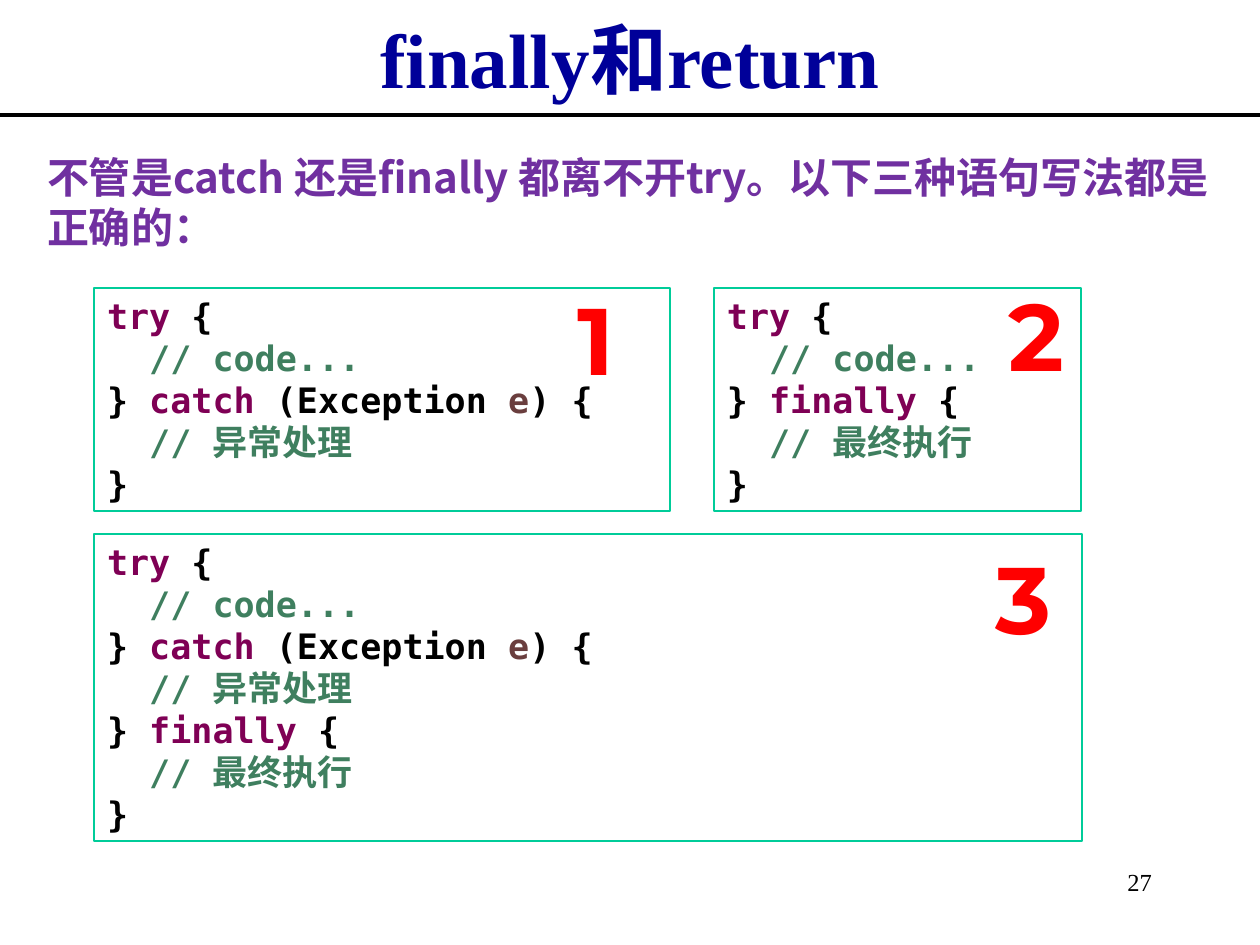
from dataclasses import dataclass

from lxml import etree
from pptx import Presentation
from pptx import util as u
from pptx.dml.color import RGBColor
from pptx.enum import shapes, text
from pptx.oxml.ns import qn

PX = u.Inches(1) / 126


@dataclass(frozen=True)
class Theme:
    plain: str = "000000"
    title: str = "000099"
    intro: str = "7030A0"
    keyword: str = "7F0055"
    comment: str = "3F7F5F"
    variable: str = "6A3E3E"
    badge: str = "FF0000"
    border: str = "00CC99"
    serif: str = "Times New Roman"
    sans: str = "Noto Sans CJK SC"
    mono: str = "DejaVu Sans Mono"
    display: str = "Montserrat"
    title_size: int = 44
    intro_size: int = 24
    code_size: int = 20
    badge_size: int = 54
    number_size: int = 14


THEME = Theme()
TRY = [
    [("try", THEME.keyword), (" {", THEME.plain)],
    [("  // code...", THEME.comment)],
]
CATCH = [
    [("} ", THEME.plain), ("catch", THEME.keyword), (" (Exception ", THEME.plain),
     ("e", THEME.variable), (") {", THEME.plain)],
    [("  // 异常处理", THEME.comment)],
]
FINALLY = [
    [("} ", THEME.plain), ("finally", THEME.keyword), (" {", THEME.plain)],
    [("  // 最终执行", THEME.comment)],
]
END = [[("}", THEME.plain)]]


def px(*lengths):
    return [u.Emu(round(length * PX)) for length in lengths]


def apply(target, formats):
    for name, value in formats.items():
        setattr(target, name, value)


def write(shape, lines, font, size, bold=True, align=text.PP_ALIGN.LEFT,
          margins=(13, 6), **frame_formats):
    frame = shape.text_frame
    side, top = px(*margins)
    apply(frame, {"margin_left": side, "margin_right": side,
                  "margin_top": top, "margin_bottom": top,
                  "word_wrap": True, "vertical_anchor": text.MSO_ANCHOR.TOP,
                  **frame_formats})
    for index, line in enumerate(lines):
        paragraph = frame.add_paragraph() if index else frame.paragraphs[0]
        paragraph.alignment = align
        for content, color in line:
            run = paragraph.add_run()
            run.text = content
            apply(run.font, {"name": font, "size": u.Pt(size), "bold": bold})
            run.font.color.rgb = RGBColor.from_string(color)
            east_asian = etree.SubElement(run.font._element, qn("a:ea"))
            east_asian.set("typeface", THEME.sans)


def add_header(slide, left, top, width, height):
    title = slide.shapes.add_textbox(*px(left + 94, top, width - 188, height))
    write(title, [[("finally和return", THEME.title)]], THEME.serif, THEME.title_size,
          align=text.PP_ALIGN.CENTER, vertical_anchor=text.MSO_ANCHOR.MIDDLE)
    rule = slide.shapes.add_connector(
        shapes.MSO_CONNECTOR.STRAIGHT,
        *px(left, top + height, left + width, top + height))
    rule.line.color.rgb = RGBColor.from_string(THEME.plain)
    rule.line.width = u.Pt(2.25)
    etree.SubElement(rule._element.spPr, qn("a:effectLst"))


def add_intro(slide, left, top, width, height):
    intro = slide.shapes.add_textbox(*px(left, top, width, height))
    sentence = "不管是catch 还是finally 都离不开try。以下三种语句写法都是正确的："
    write(intro, [[(sentence, THEME.intro)]], THEME.sans, THEME.intro_size,
          margins=(17, 9))


def add_code_panel(slide, left, top, width, height, lines, badge, badge_x, badge_y):
    panel = slide.shapes.add_shape(shapes.MSO_SHAPE.RECTANGLE,
                                   *px(left, top, width, height))
    panel.shadow.inherit = False
    panel.fill.background()
    panel.line.color.rgb = RGBColor.from_string(THEME.border)
    panel.line.width = u.Pt(1.5)
    grow = text.MSO_AUTO_SIZE.SHAPE_TO_FIT_TEXT
    write(panel, lines, THEME.mono, THEME.code_size, auto_size=grow)
    label = slide.shapes.add_textbox(*px(left + badge_x, top + badge_y, 79, 126))
    write(label, [[(badge, THEME.badge)]], THEME.display, THEME.badge_size,
          word_wrap=False, auto_size=grow)


def add_page_number(slide, left, top, width, height):
    number = slide.shapes.add_textbox(*px(left, top, width, height))
    write(number, [[("27", THEME.plain)]], THEME.serif, THEME.number_size,
          bold=False, align=text.PP_ALIGN.RIGHT)


def main():
    presentation = Presentation()
    apply(presentation, {"slide_width": u.Inches(10), "slide_height": u.Inches(7.5)})
    slide = presentation.slides.add_slide(presentation.slide_layouts[6])
    add_header(slide, 0, 0, 1260, 115)
    add_intro(slide, 30, 142, 1201, 131)
    add_code_panel(slide, 94, 288, 576, 223, TRY + CATCH + END, "1", 470, -13)
    add_code_panel(slide, 714, 288, 367, 223, TRY + FINALLY + END, "2", 281, -17)
    add_code_panel(slide, 94, 534, 988, 307, TRY + CATCH + FINALLY + END, "3", 889, 0)
    add_page_number(slide, 1029, 861, 136, 63)
    presentation.save("out.pptx")


if __name__ == "__main__":
    main()
